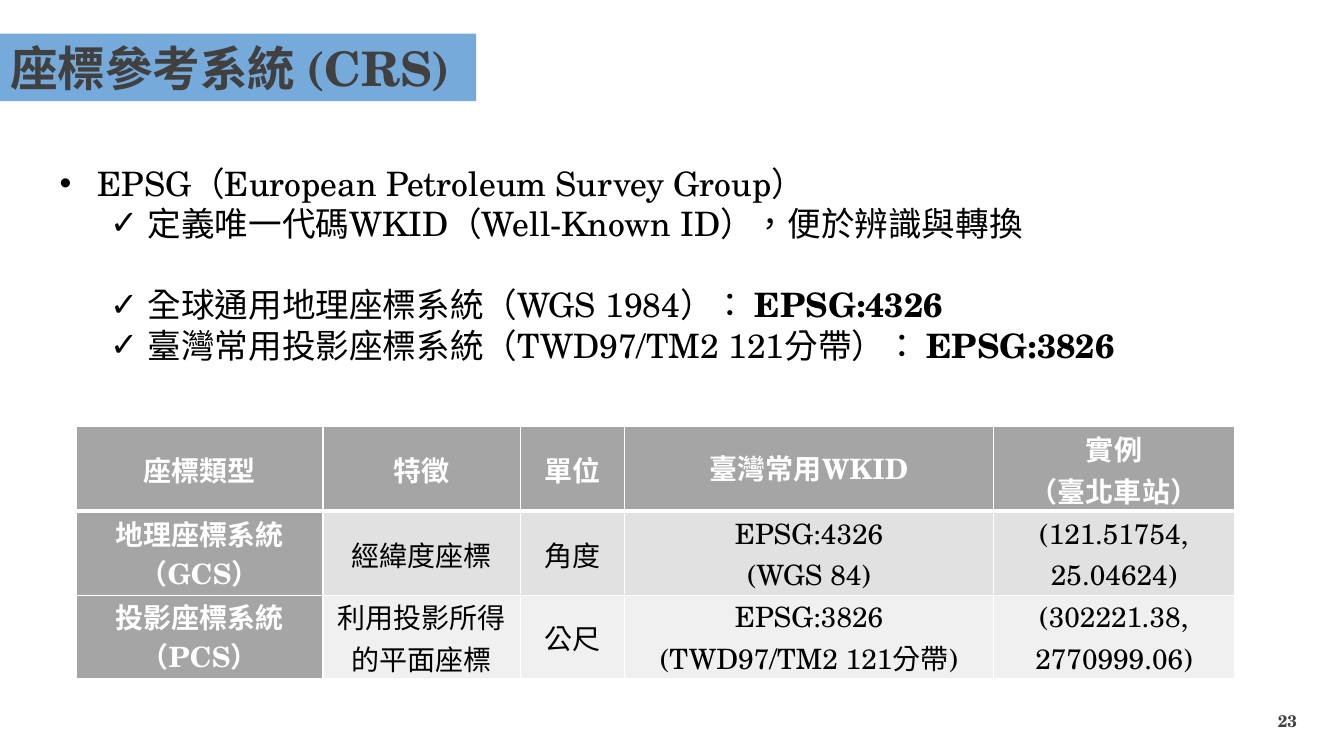
from lxml import etree
from pptx import Presentation
from pptx import util as u
from pptx.dml.color import RGBColor
from pptx.enum import lang, text
from pptx.oxml import ns

Cm, Pt = u.Cm, u.Pt
FONT = "TeX Gyre Schola"
BLUE = RGBColor(0x75, 0xAA, 0xDB)
DARK = RGBColor(0x40, 0x40, 0x40)
BLACK = RGBColor(0, 0, 0)
WHITE = RGBColor(0xFF, 0xFF, 0xFF)
HEADER = RGBColor(0xA5, 0xA5, 0xA5)
BANDS = (RGBColor(0xE1, 0xE1, 0xE1), RGBColor(0xF0, 0xF0, 0xF0))

POINTS = [
    (0, "EPSG（European Petroleum Survey Group）", "", 0),
    (1, "定義唯一代碼WKID（Well-Known ID），便於辨識與轉換", "", 0),
    (1, "全球通用地理座標系統（WGS 1984）： ", "EPSG:4326", 29),
    (1, "臺灣常用投影座標系統（TWD97/TM2 121分帶）： ", "EPSG:3826", 0),
]
ROWS = [
    ["座標類型", "特徵", "單位", "臺灣常用WKID", "實例\n（臺北車站）"],
    ["地理座標系統\n（GCS）", "經緯度座標", "角度", "EPSG:4326\n(WGS 84)",
     "(121.51754, 25.04624)"],
    ["投影座標系統\n（PCS）", "利用投影所得的平面座標", "公尺",
     "EPSG:3826\n(TWD97/TM2 121分帶)", "(302221.38, 2770999.06)"],
]
COLUMN_WIDTHS = (6.22, 4.98, 2.62, 9.3, 6.07)
ROW_HEIGHTS = (2.13, 2.13, 2.08)


def add_span(para, words, size=24, color=BLACK, bold=False):
    """Append one formatted run to a paragraph."""
    span = para.add_run()
    span.text = words
    font = span.font
    font.name, font.size, font.bold = FONT, Pt(size), bold
    font.color.rgb = color
    font.language_id = lang.MSO_LANGUAGE_ID.TRADITIONAL_CHINESE


def place(shape, left, top, width, height):
    """Move a shape to a box given in centimetres."""
    shape.left, shape.top = Cm(left), Cm(top)
    shape.width, shape.height = Cm(width), Cm(height)


def next_para(frame, index):
    """Return the first paragraph, or a new one after it."""
    return frame.add_paragraph() if index else frame.paragraphs[0]


def add_bullet(para, level):
    """Give a paragraph the bullet and hanging indent of its level."""
    para.level = level
    props = para._p.get_or_add_pPr()
    props.set("marL", str(Cm(0.95 + 1.27 * level)))
    props.set("indent", str(-Cm(0.95)))
    etree.SubElement(props, ns.qn("a:buFont")).set("typeface", "Arial")
    etree.SubElement(props, ns.qn("a:buChar")).set("char", "•✓"[level])


def add_border(cell, side, width):
    """Draw one white edge of a table cell."""
    props = cell._tc.get_or_add_tcPr()
    line = etree.SubElement(props, ns.qn(f"a:ln{side}"), w=str(Pt(width)))
    fill = etree.SubElement(line, ns.qn("a:solidFill"))
    etree.SubElement(fill, ns.qn("a:srgbClr"), val=str(WHITE))


def build_title(title, box):
    """Fill the heading band."""
    place(title, *box)
    title.fill.solid()
    title.fill.fore_color.rgb = BLUE
    frame = title.text_frame
    frame.word_wrap = False
    frame.auto_size = text.MSO_AUTO_SIZE.NONE
    frame.vertical_anchor = text.MSO_ANCHOR.MIDDLE
    para = frame.paragraphs[0]
    para.alignment = text.PP_ALIGN.LEFT
    add_span(para, "座標參考系統 (CRS)", size=34, color=DARK, bold=True)


def build_points(body, box):
    """Fill the bulleted list."""
    place(body, *box)
    frame = body.text_frame
    frame.auto_size = text.MSO_AUTO_SIZE.NONE
    frame.vertical_anchor = text.MSO_ANCHOR.TOP
    for index, (level, words, code, gap) in enumerate(POINTS):
        para = next_para(frame, index)
        add_bullet(para, level)
        para.line_spacing, para.space_before = Pt(29), Pt(gap)
        add_span(para, words)
        if code:
            add_span(para, code, bold=True)


def build_cell(cell, words, row, column):
    """Format and fill one table cell."""
    heading = row == 0 or column == 0
    for side in "LRTB":
        thick = (row == 0 and side == "B") or (row == 1 and side == "T")
        add_border(cell, side, 3 if thick else 1)
    cell.fill.solid()
    cell.fill.fore_color.rgb = HEADER if heading else BANDS[row - 1]
    cell.vertical_anchor = text.MSO_ANCHOR.MIDDLE
    cell.margin_left = cell.margin_right = Cm(0.18)
    cell.margin_top = cell.margin_bottom = 0
    for index, line in enumerate(words.split("\n")):
        para = next_para(cell.text_frame, index)
        para.alignment = text.PP_ALIGN.CENTER
        para.line_spacing = Pt(29.5)
        add_span(para, line, size=20, color=WHITE if heading else BLACK,
                 bold=heading)


def build_table(page, left, top):
    """Add the comparison table of coordinate systems."""
    table = page.shapes.add_table(
        len(ROW_HEIGHTS), len(COLUMN_WIDTHS), Cm(left), Cm(top),
        Cm(sum(COLUMN_WIDTHS)), Cm(sum(ROW_HEIGHTS))).table
    for column, width in zip(table.columns, COLUMN_WIDTHS):
        column.width = Cm(width)
    for row, height in zip(table.rows, ROW_HEIGHTS):
        row.height = Cm(height)
    for row, values in enumerate(ROWS):
        for column, words in enumerate(values):
            build_cell(table.cell(row, column), words, row, column)


def build_page_number(page, box):
    """Add the page number at the lower right."""
    frame = page.shapes.add_textbox(*map(Cm, box)).text_frame
    frame.word_wrap = True
    frame.vertical_anchor = text.MSO_ANCHOR.MIDDLE
    para = frame.paragraphs[0]
    para.alignment = text.PP_ALIGN.RIGHT
    add_span(para, "23", size=12, color=DARK, bold=True)


def main():
    """Build and save the deck."""
    deck = Presentation()
    deck.slide_width, deck.slide_height = Cm(33.87), Cm(19.05)
    page = deck.slides.add_slide(deck.slide_layouts[1])
    build_title(page.shapes.title, (0, 0.85, 12, 1.7))
    build_points(page.placeholders[1], (1.25, 3.96, 32.4, 5.4))
    build_table(page, 1.92, 10.75)
    build_page_number(page, (25.32, 17.65, 7.62, 1.02))
    deck.save("out.pptx")


if __name__ == "__main__":
    main()
